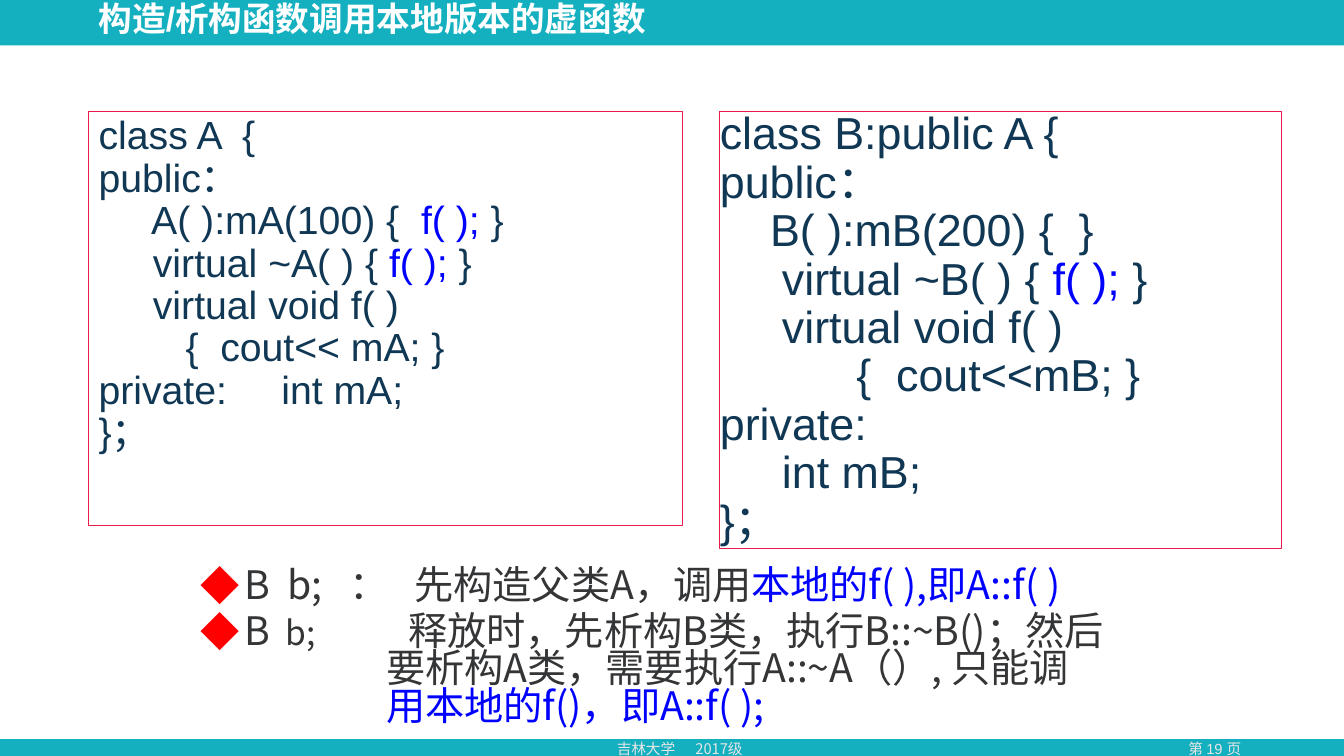
from lxml.etree import SubElement
from pptx import Presentation
from pptx.dml.color import RGBColor
from pptx.enum.shapes import MSO_SHAPE as Shape
from pptx.enum.text import MSO_ANCHOR as Anchor, PP_ALIGN as Align
from pptx.oxml.ns import qn
from pptx.util import Inches, Pt

WIDTH, HEIGHT = Inches(13.33), Inches(7.5)
LATIN, HAN = "Arial", "Noto Sans CJK SC"
COLOURS = {
    "teal": "14B0C0", "white": "FFFFFF", "footer": "E7E6E6", "frame": "E61A4B",
    "code": "103754", "call": "0000FF", "note": "343537", "bullet": "FF0000",
}

CLASS_A = [
    ("class A  {\npublic：\n      A( ):mA(100) { ", "code"),
    (" f( ); ", "call"),
    ("}\n     virtual ~A( ) {", "code"),
    (" f( ); ", "call"),
    ("}\n     virtual void f( )\n        {  cout<< mA; }\n"
     "private:     int mA;\n}；", "code"),
]
CLASS_B = [
    ("class B:public A {\npublic：\n     B( ):mB(200) {  }\n     virtual ~B( ) { ", "code"),
    ("f( );", "call"),
    (" }\n     virtual void f( )\n           {  cout<<mB; }\n"
     "private:\n     int mB;\n}；", "code"),
]
# Each note: tab stops in inches, then its spans
NOTES = [
    ((0.86, 1.48, 2.12), [
        ("B\tb;\t：\t先构造父类A，调用", "note"),
        ("本地的f( ),即A::f( )", "call"),
    ]),
    ((0.84, 1.84, 2.06), [
        ("B", "note"),
        ("\tb;", "note", 24),
        ("\t\t释放时，先析构B类，执行B::~B()；然后\n"
         "\t\t要析构A类，需要执行A::~A（）, 只能调\n\t\t", "note"),
        ("用本地的f()，即A::f( );", "call"),
    ]),
]


def colour(name):
    return RGBColor.from_string(COLOURS[name])


def area(left, top, width, height):
    """Turn percentages of the slide's size into lengths."""
    return [int(side * share / 100) for side, share in
            zip((WIDTH, HEIGHT, WIDTH, HEIGHT), (left, top, width, height))]


def apply(target, **values):
    for name, value in values.items():
        setattr(target, name, value)


def add_panel(page, place, fill=None, line=None):
    panel = page.shapes.add_shape(Shape.RECTANGLE, *area(*place))
    panel.shadow.inherit = False
    if fill:
        panel.fill.solid()
        panel.fill.fore_color.rgb = colour(fill)
    else:
        panel.fill.background()
    if line:
        panel.line.color.rgb = colour(line)
        panel.line.width = Pt(0.75)
    else:
        panel.line.fill.background()
    return panel


def set_frame(box, inset=True, anchor=Anchor.TOP):
    frame = box.text_frame
    apply(frame, word_wrap=True, vertical_anchor=anchor)
    if not inset:
        apply(frame, margin_left=0, margin_top=0, margin_right=0, margin_bottom=0)
    return frame


def add_spans(para, spans, size, font=LATIN, bold=False):
    for text, tint, *own_size in spans:
        for row, piece in enumerate(text.split("\n")):
            if row:
                para.add_line_break()
            if not piece:
                continue
            span = para.add_run()
            span.text = piece
            apply(span.font, name=font, bold=bold, size=Pt(own_size[0] if own_size else size))
            span.font.color.rgb = colour(tint)
            SubElement(span.font._element, qn("a:ea"), typeface=HAN)


def add_tabs(para, stops):
    tabs = SubElement(para._p.get_or_add_pPr(), qn("a:tabLst"))
    for stop in stops:
        SubElement(tabs, qn("a:tab"), pos=str(Inches(stop)), algn="l")


def add_bullet(para):
    props = para._p.get_or_add_pPr()
    apply_indent = {"marL": Inches(0.43), "indent": -Inches(0.43)}
    for name, length in apply_indent.items():
        props.set(name, str(length))
    tint = SubElement(props, qn("a:buClr"))
    SubElement(tint, qn("a:srgbClr"), val=COLOURS["bullet"])
    SubElement(props, qn("a:buFont"), typeface=HAN)
    SubElement(props, qn("a:buChar"), char="◆")


def add_label(page, place, spans, size, font=LATIN, bold=False,
              align=Align.LEFT, anchor=Anchor.TOP, stops=()):
    box = page.shapes.add_textbox(*area(*place))
    para = set_frame(box, anchor=anchor).paragraphs[0]
    apply(para, alignment=align, line_spacing=0.9 if bold else 1.0)
    if stops:
        add_tabs(para, stops)
    add_spans(para, spans, size, font, bold)


def add_code(page, place, spans, size, inset):
    panel = add_panel(page, place, line="frame")
    para = set_frame(panel, inset).paragraphs[0]
    apply(para, alignment=Align.LEFT, line_spacing=0.9)
    add_spans(para, spans, size)


def add_notes(page, place, notes):
    frame = set_frame(page.shapes.add_textbox(*area(*place)), inset=False)
    for row, (stops, spans) in enumerate(notes):
        para = frame.add_paragraph() if row else frame.paragraphs[0]
        para.line_spacing = 0.8
        if row:
            para.space_before = Pt(5.6)
        add_bullet(para)
        add_tabs(para, stops)
        add_spans(para, spans, 28, HAN)


def main():
    deck = Presentation()
    apply(deck, slide_width=WIDTH, slide_height=HEIGHT)
    page = deck.slides.add_slide(deck.slide_layouts[6])

    add_panel(page, (0, 0, 100, 100), fill="teal")
    add_panel(page, (0, 6, 100, 91.75), fill="white")
    add_label(page, (84.92, 97.2, 10.95, 3.7), [("第 19 页", "footer")], 10.5,
              align=Align.CENTER)
    add_label(page, (45.16, 97.2, 13.8, 3.7), [("吉林大学\t2017级", "footer")], 10.5,
              font=HAN, stops=[0.78])
    add_label(page, (6.6, 0.53, 57.61, 5.2), [("构造/析构函数调用本地版本的虚函数", "white")],
              24, bold=True, anchor=Anchor.BOTTOM)
    add_code(page, (6.6, 14.7, 44.19, 54.8), CLASS_A, 28, inset=True)
    add_code(page, (53.56, 14.7, 41.79, 57.87), CLASS_B, 32, inset=False)
    add_notes(page, (14.93, 75.33, 80.42, 22.67), NOTES)
    deck.save("out.pptx")


if __name__ == "__main__":
    main()
